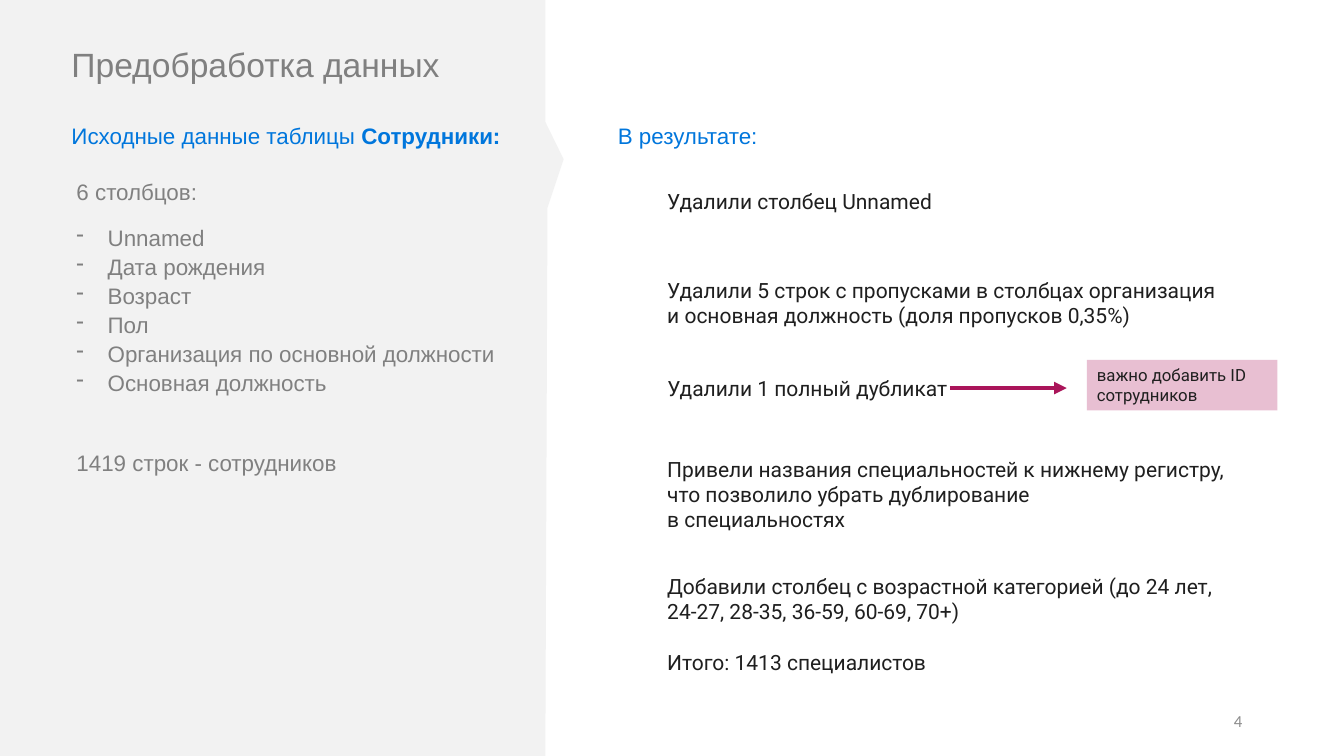
from dataclasses import dataclass

from lxml.etree import SubElement
from pptx import Presentation
from pptx.dml.color import RGBColor as RGB
from pptx.enum.shapes import MSO_CONNECTOR as CONN, MSO_SHAPE as SHAPE
from pptx.enum.text import MSO_ANCHOR as ANCHOR, PP_ALIGN as ALIGN
from pptx.oxml.ns import qn
from pptx.util import Inches, Pt

W, H = Inches(13.33), Inches(7.5)


@dataclass(frozen=True)
class Theme:
    """Colours and text formats of the slide."""
    panel = RGB(0xF2, 0xF2, 0xF2)
    accent = RGB(0xAA, 0x15, 0x5A)
    grey = RGB(0x80, 0x80, 0x80)
    blue = RGB(0x00, 0x76, 0xDC)
    ink = RGB(0x1F, 0x1F, 0x1F)
    pale = RGB(0x8C, 0x8C, 0x8C)
    title = {"name": "Arial", "size": Pt(24), "color": grey}
    head = {"name": "Arial", "size": Pt(16), "color": blue}
    source = {"name": "Arial", "size": Pt(16), "color": grey}
    step = {"name": "Roboto", "size": Pt(15), "color": ink}
    note = {"name": "Roboto", "size": Pt(12), "color": ink}
    number = {"name": "Calibri", "size": Pt(12), "color": pale}


T = Theme()

COLUMNS = ["Unnamed", "Дата рождения", "Возраст", "Пол",
           "Организация по основной должности", "Основная должность"]
STEPS = [
    (24.27, 4.67, 43.44, ["Удалили столбец Unnamed"]),
    (36, 8.13, 43.44, ["Удалили 5 строк с пропусками в столбцах организация "
                       "и основная должность (доля пропусков 0,35%)"]),
    (49.07, 4.67, 24.08, ["Удалили 1 полный дубликат"]),
    (59.73, 11.47, 43.44, ["Привели названия специальностей к нижнему регистру, "
                           "что позволило убрать дублирование",
                           "в специальностях"]),
    (75.2, 8.13, 43.44, ["Добавили столбец с возрастной категорией (до 24 лет, "
                         "24-27, 28-35, 36-59, 60-69, 70+)"]),
    (85.2, 4.67, 23.41, ["Итого: 1413 специалистов"]),
]


def x(share):
    """Turn a percentage of the slide width into a length."""
    return int(W * share / 100)


def y(share):
    """Turn a percentage of the slide height into a length."""
    return int(H * share / 100)


def box(left, top, width, height):
    """Turn four percentages into a position and size."""
    return x(left), y(top), x(width), y(height)


def add_run(p, text, fmt, bold=None):
    """Add a formatted run to a paragraph."""
    r = p.add_run()
    r.text = text
    for key, value in {**fmt, "bold": bold}.items():
        if key == "color":
            r.font.color.rgb = value
        else:
            setattr(r.font, key, value)


def write(tf, paragraphs, fmt, align=ALIGN.LEFT):
    """Write plain paragraphs into a wrapped text frame."""
    tf.word_wrap = True
    for i, text in enumerate(paragraphs):
        p = tf.add_paragraph() if i else tf.paragraphs[0]
        p.alignment = align
        add_run(p, text, fmt)


def add_text(s, area, paragraphs, fmt, align=ALIGN.LEFT):
    """Add a text box and return its text frame."""
    tf = s.shapes.add_textbox(*box(*area)).text_frame
    write(tf, paragraphs, fmt, align)
    return tf


def add_dash(p):
    """Give a paragraph a hanging dash bullet."""
    pPr = p._p.get_or_add_pPr()
    pPr.set("marL", str(Inches(0.31)))
    pPr.set("indent", str(-Inches(0.31)))
    SubElement(pPr, qn("a:buChar"), char="-")


def add_panel(s):
    """Draw the left panel with its pointer."""
    corners = [(0, 100), (40.58, 100), (40.74, 27.47), (41.94, 21.07),
               (40.58, 16.13), (40.58, 0)]
    ff = s.shapes.build_freeform(0, 0)
    ff.add_line_segments([(x(a), y(b)) for a, b in corners])
    sp = ff.convert_to_shape()
    sp.shadow.inherit = False
    sp.fill.solid()
    sp.fill.fore_color.rgb = T.panel
    sp.line.fill.background()


def add_source(s):
    """List the columns and the row count of the source table."""
    tf = add_text(s, (4.95, 22.93, 33.16, 44.8),
                  ["6 столбцов:", *COLUMNS, "1419 строк - сотрудников"], T.source)
    first, *items, last = tf.paragraphs
    first.space_after = Pt(12)
    for p in items:
        p.line_spacing = 1.08
        add_dash(p)
    last.space_before = Pt(38)


def add_arrow(s, start, end, level):
    """Draw a horizontal arrow."""
    c = s.shapes.add_connector(CONN.STRAIGHT, x(start), y(level), x(end), y(level))
    c.line.color.rgb = T.accent
    c.line.width = Pt(3)
    SubElement(c.line._get_or_add_ln(), qn("a:tailEnd"), type="triangle")
    SubElement(c._element.spPr, qn("a:effectLst"))


def add_note(s, area, text):
    """Add a translucent note."""
    sp = s.shapes.add_shape(SHAPE.RECTANGLE, *box(*area))
    sp.shadow.inherit = False
    sp.fill.solid()
    sp.fill.fore_color.rgb = T.accent
    color = sp.fill._xPr.find(".//" + qn("a:srgbClr"))
    SubElement(color, qn("a:alpha"), val="27000")
    sp.line.fill.background()
    sp.text_frame.vertical_anchor = ANCHOR.TOP
    write(sp.text_frame, [text], T.note)


def main():
    """Build the slide and save it."""
    prs = Presentation()
    prs.slide_width, prs.slide_height = W, H
    s = prs.slides.add_slide(prs.slide_layouts[6])
    add_panel(s)
    add_text(s, (4.58, 5.2, 66.92, 6.67), ["Предобработка данных"], T.title)
    tf = add_text(s, (70.67, 92.67, 22.5, 5.33), ["4"], T.number, ALIGN.RIGHT)
    tf.vertical_anchor = ANCHOR.MIDDLE
    tf = add_text(s, (4.58, 15.47, 42.91, 4.93), ["Исходные данные таблицы "], T.head)
    add_run(tf.paragraphs[0], "Сотрудники:", T.head, bold=True)
    add_text(s, (45.24, 15.47, 32.26, 4.93), ["В результате:"], T.head)
    add_source(s)
    for top, height, width, paragraphs in STEPS:
        add_text(s, (48.91, top, width, height), paragraphs, T.step)
    add_arrow(s, 70.67, 79.37, 51.33)
    add_note(s, (80.87, 47.6, 14.18, 6.67), "важно добавить ID сотрудников")
    prs.save("out.pptx")


if __name__ == "__main__":
    main()
